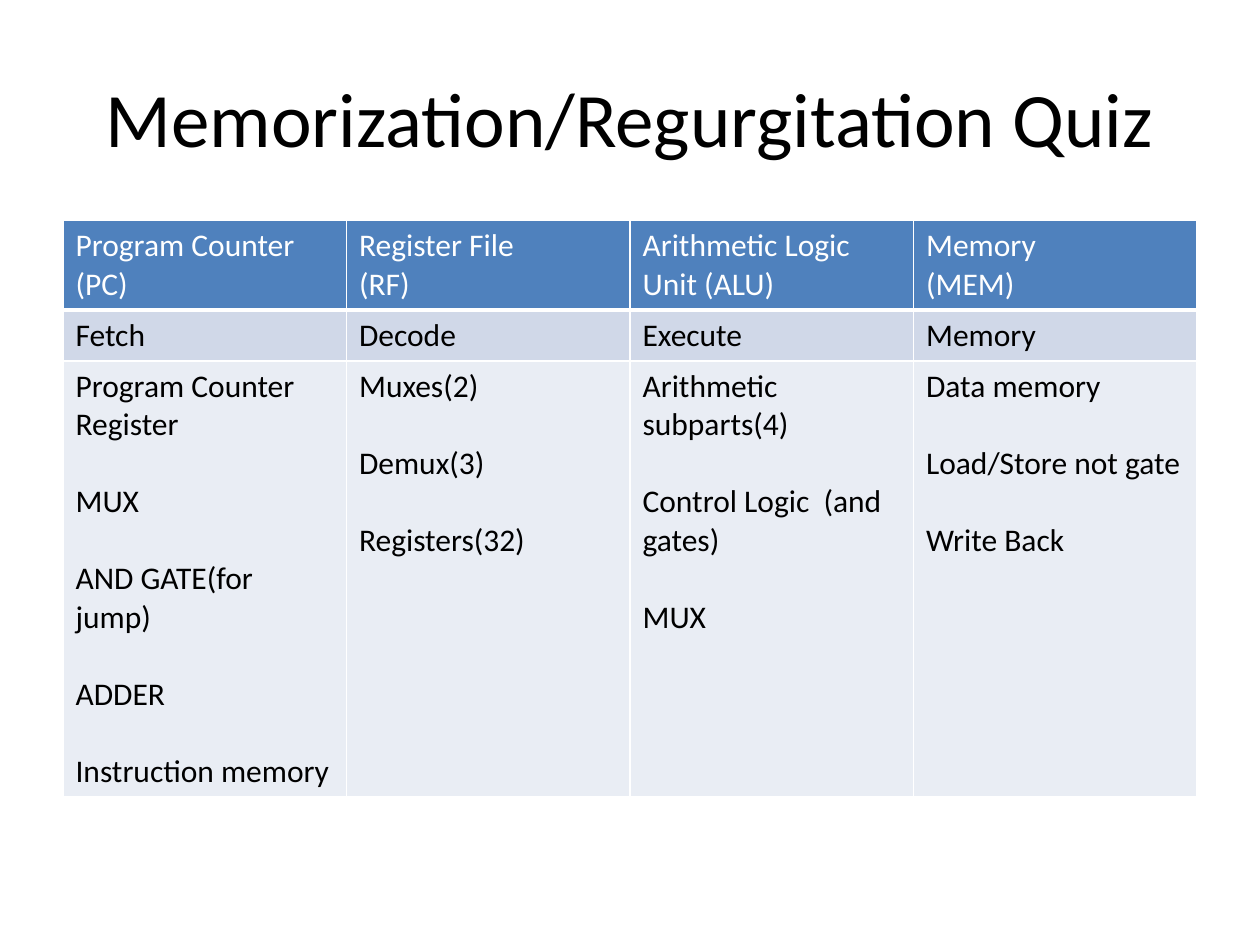
from dataclasses import dataclass

from lxml.etree import SubElement
from pptx import Presentation
from pptx.dml.color import RGBColor
from pptx.enum.text import MSO_ANCHOR, PP_ALIGN
from pptx.oxml.ns import qn
from pptx.util import Pt

BLACK = RGBColor(0x00, 0x00, 0x00)
WHITE = RGBColor(0xFF, 0xFF, 0xFF)
HEADER_BLUE = RGBColor(0x4F, 0x81, 0xBD)
BAND_BLUE = RGBColor(0xD0, 0xD8, 0xE8)
BAND_PALE = RGBColor(0xE9, 0xED, 0xF4)

FONT = "Calibri"
TITLE_SIZE = 44
TABLE_SIZE = 18
LINE_GAP = 22  # one line of table text
LEFT, CONTENT_WIDTH = 36, 648


@dataclass
class TableRow:
    height: float
    fill: RGBColor
    color: RGBColor
    cells: list[list[str]]  # paragraphs of each cell
    gap: float = 0          # space between paragraphs
    bottom_line: float = 1


ROWS = [
    TableRow(51.1, HEADER_BLUE, WHITE, [
        ["Program Counter", "(PC)"],
        ["Register File", "(RF)"],
        ["Arithmetic Logic Unit (ALU)"],
        ["Memory", "(MEM)"],
    ], bottom_line=3),
    TableRow(29.2, BAND_BLUE, BLACK, [
        ["Fetch"], ["Decode"], ["Execute"], ["Memory"],
    ]),
    TableRow(248.8, BAND_PALE, BLACK, [
        ["Program Counter Register", "MUX", "AND GATE(for jump)", "ADDER",
         "Instruction memory"],
        ["Muxes(2)", "Demux(3)", "Registers(32)"],
        ["Arithmetic subparts(4)", "Control Logic  (and gates)", "MUX"],
        ["Data memory", "Load/Store not gate", "Write Back"],
    ], gap=LINE_GAP),
]


def format_font(font, size: float, color: RGBColor) -> None:
    values = {"name": FONT, "size": Pt(size), "bold": False}
    for name, value in values.items():
        setattr(font, name, value)
    font.color.rgb = color


def add_borders(cell, bottom_line: float) -> None:
    properties = cell._tc.get_or_add_tcPr()
    widths = {"a:lnL": 1, "a:lnR": 1, "a:lnT": 1, "a:lnB": bottom_line}
    for tag, width in widths.items():
        line = SubElement(properties, qn(tag), w=str(Pt(width)))
        fill = SubElement(line, qn("a:solidFill"))
        SubElement(fill, qn("a:srgbClr"), val=str(WHITE))


def fill_cell(cell, row: TableRow, texts: list[str]) -> None:
    add_borders(cell, row.bottom_line)
    cell.fill.solid()
    cell.fill.fore_color.rgb = row.fill
    frame = cell.text_frame
    for index, text in enumerate(texts):
        para = frame.add_paragraph() if index else frame.paragraphs[0]
        if index and row.gap:
            para.space_before = Pt(row.gap)
        span = para.add_run()
        span.text = text
        format_font(span.font, TABLE_SIZE, row.color)


def add_title(page, text: str) -> None:
    title = page.shapes.title
    box = {"left": LEFT, "top": 21.6, "width": CONTENT_WIDTH, "height": 90}
    for name, value in box.items():
        setattr(title, name, Pt(value))
    title.text_frame.vertical_anchor = MSO_ANCHOR.MIDDLE
    para = title.text_frame.paragraphs[0]
    para.alignment = PP_ALIGN.CENTER
    span = para.add_run()
    span.text = text
    format_font(span.font, TITLE_SIZE, BLACK)


def add_stage_table(page, rows: list[TableRow]) -> None:
    columns = len(rows[0].cells)
    height = sum(row.height for row in rows)
    table = page.shapes.add_table(
        len(rows), columns, Pt(LEFT), Pt(126), Pt(CONTENT_WIDTH), Pt(height)
    ).table
    for row_index, row in enumerate(rows):
        table.rows[row_index].height = Pt(row.height)
        for column_index, texts in enumerate(row.cells):
            fill_cell(table.cell(row_index, column_index), row, texts)


def main() -> None:
    deck = Presentation()
    deck.slide_width, deck.slide_height = Pt(720), Pt(540)
    title_only = deck.slide_layouts[5]
    page = deck.slides.add_slide(title_only)

    # Title
    add_title(page, "Memorization/Regurgitation Quiz")

    # Processor parts, their stages and components
    add_stage_table(page, ROWS)

    deck.save("out.pptx")


if __name__ == "__main__":
    main()
